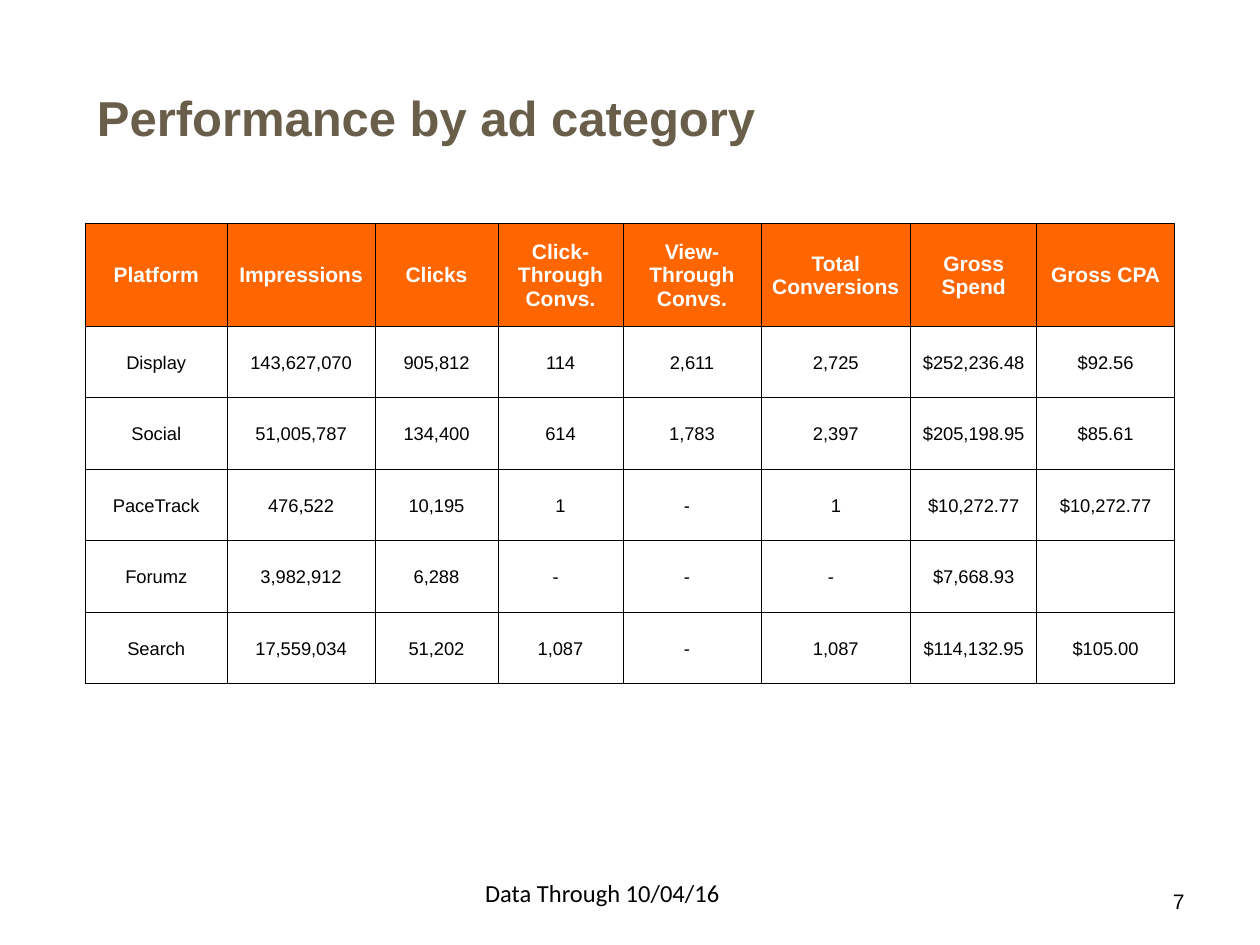
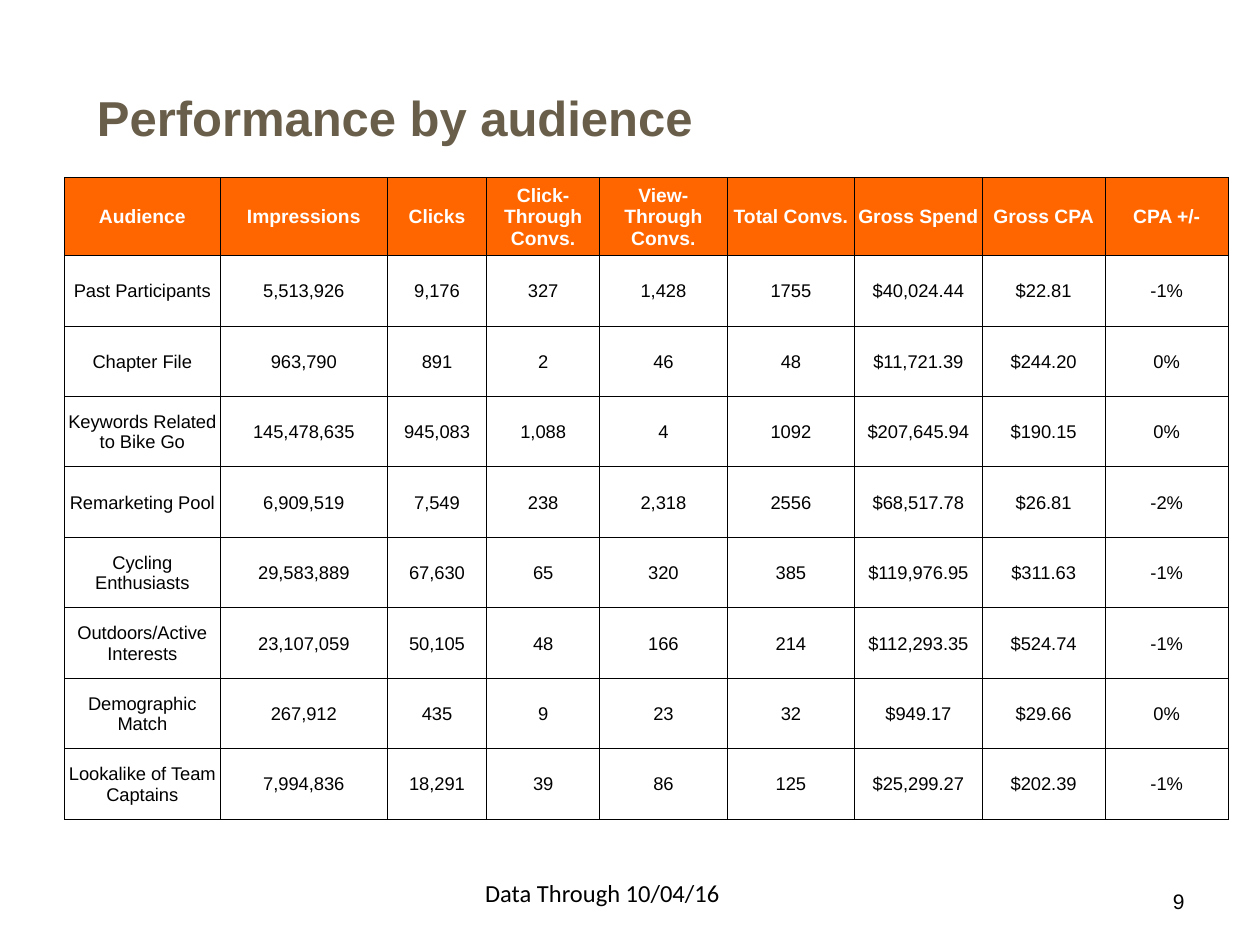
from lxml import etree
from pptx import Presentation
from pptx.dml.color import RGBColor as RGB
from pptx.enum.text import MSO_ANCHOR as ANCHOR, PP_ALIGN as ALIGN
from pptx.oxml.ns import qn
from pptx.util import Cm, Pt

COLORS = {"title": "695E4A", "header": "FF6600", "white": "FFFFFF", "black": "000000"}
CELL_MARGIN = 0.03
DASH_INDENT = 0.2  # accounting-style dashes sit slightly left of centre

PAGES = [
    {
        "title": "Performance by ad category", "number": "7",
        "left": 1.72, "top": 4.5, "header_height": 2.08, "row_height": 1.44,
        "header_size": 12,
        "widths": [2.86, 2.98, 2.48, 2.52, 2.78, 3.02, 2.54, 2.78],
        "rows": [
            ["Platform", "Impressions", "Clicks", "Click-Through\nConvs.",
             "View-Through Convs.", "Total Conversions", "Gross Spend", "Gross CPA"],
            ["Display", "143,627,070", "905,812", "114", "2,611", "2,725", "$252,236.48", "$92.56"],
            ["Social", "51,005,787", "134,400", "614", "1,783", "2,397", "$205,198.95", "$85.61"],
            ["PaceTrack", "476,522", "10,195", "1", "-", "1", "$10,272.77", "$10,272.77"],
            ["Forumz", "3,982,912", "6,288", "-", "-", "-", "$7,668.93", ""],
            ["Search", "17,559,034", "51,202", "1,087", "-", "1,087", "$114,132.95", "$105.00"],
        ],
    },
    {
        "title": "Performance by audience", "number": "9",
        "left": 1.3, "top": 3.58, "header_height": 1.57, "row_height": 1.42,
        "header_size": 11,
        "widths": [3.14, 3.37, 2, 2.28, 2.57, 2.57, 2.57, 2.48, 2.48],
        "rows": [
            ["Audience", "Impressions", "Clicks", "Click-Through Convs.", "View-Through Convs.",
             "Total Convs.", "Gross Spend", "Gross CPA", "CPA +/-"],
            ["Past Participants", "5,513,926", "9,176", "327", "1,428", "1755",
             "$40,024.44", "$22.81", "-1%"],
            ["Chapter File", "963,790", "891", "2", "46", "48", "$11,721.39", "$244.20", "0%"],
            ["Keywords Related to Bike Go", "145,478,635", "945,083", "1,088", "4", "1092",
             "$207,645.94", "$190.15", "0%"],
            ["Remarketing Pool", "6,909,519", "7,549", "238", "2,318", "2556",
             "$68,517.78", "$26.81", "-2%"],
            ["Cycling Enthusiasts", "29,583,889", "67,630", "65", "320", "385",
             "$119,976.95", "$311.63", "-1%"],
            ["Outdoors/Active Interests", "23,107,059", "50,105", "48", "166", "214",
             "$112,293.35", "$524.74", "-1%"],
            ["Demographic Match", "267,912", "435", "9", "23", "32", "$949.17", "$29.66", "0%"],
            ["Lookalike of Team Captains", "7,994,836", "18,291", "39", "86", "125",
             "$25,299.27", "$202.39", "-1%"],
        ],
    },
]


def write(tf, text, size, color="black", font="Arial", bold=False,
          align=ALIGN.LEFT, anchor=ANCHOR.MIDDLE):
    tf.text = text
    tf.word_wrap = True
    tf.vertical_anchor = anchor
    for p in tf.paragraphs:
        p.alignment = align
        p.font.name, p.font.size, p.font.bold = font, Pt(size), bold
        p.font.color.rgb = RGB.from_string(COLORS[color])


def add_borders(cell):
    tc_pr = cell._tc.get_or_add_tcPr()
    for side in ("a:lnL", "a:lnR", "a:lnT", "a:lnB"):
        ln = etree.SubElement(tc_pr, qn(side), w=str(Pt(0.5)))
        fill = etree.SubElement(ln, qn("a:solidFill"))
        etree.SubElement(fill, qn("a:srgbClr"), val=COLORS["black"])


prs = Presentation()
prs.slide_width, prs.slide_height = Cm(25.4), Cm(19.05)

for page in PAGES:
    s = prs.slides.add_slide(prs.slide_layouts[5])

    title = s.shapes.title
    title.left, title.top, title.width, title.height = Cm(1.7), Cm(0.76), Cm(22.02), Cm(3.18)
    write(title.text_frame, page["title"], 28, "title", bold=True)

    footer = s.shapes.add_textbox(Cm(9.53), Cm(17.58), Cm(6.99), Cm(1.63))
    write(footer.text_frame, "Data Through 10/04/16", 14, font="Calibri", anchor=ANCHOR.TOP)

    number = s.shapes.add_textbox(Cm(17.78), Cm(17.65), Cm(6.35), Cm(1.02))
    write(number.text_frame, page["number"], 12, align=ALIGN.RIGHT)

    rows, widths = page["rows"], page["widths"]
    height = page["header_height"] + page["row_height"] * (len(rows) - 1)
    table = s.shapes.add_table(len(rows), len(widths), Cm(page["left"]), Cm(page["top"]),
                               Cm(sum(widths)), Cm(height)).table
    table.first_row = table.horz_banding = False
    for column, width in zip(table.columns, widths):
        column.width = Cm(width)

    for i, values in enumerate(rows):
        is_header = i == 0
        table.rows[i].height = Cm(page["header_height" if is_header else "row_height"])
        for j, value in enumerate(values):
            cell = table.cell(i, j)
            cell.margin_left = cell.margin_top = Cm(CELL_MARGIN)
            cell.margin_right = Cm(CELL_MARGIN + (DASH_INDENT if value == "-" else 0))
            cell.margin_bottom = 0
            cell.vertical_anchor = ANCHOR.MIDDLE
            add_borders(cell)
            if is_header:
                cell.fill.solid()
                cell.fill.fore_color.rgb = RGB.from_string(COLORS["header"])
                write(cell.text_frame, value, page["header_size"], "white", bold=True,
                      align=ALIGN.CENTER, anchor=None)
            else:
                cell.fill.background()
                write(cell.text_frame, value, 10.5, align=ALIGN.CENTER, anchor=None)

prs.save("out.pptx")
